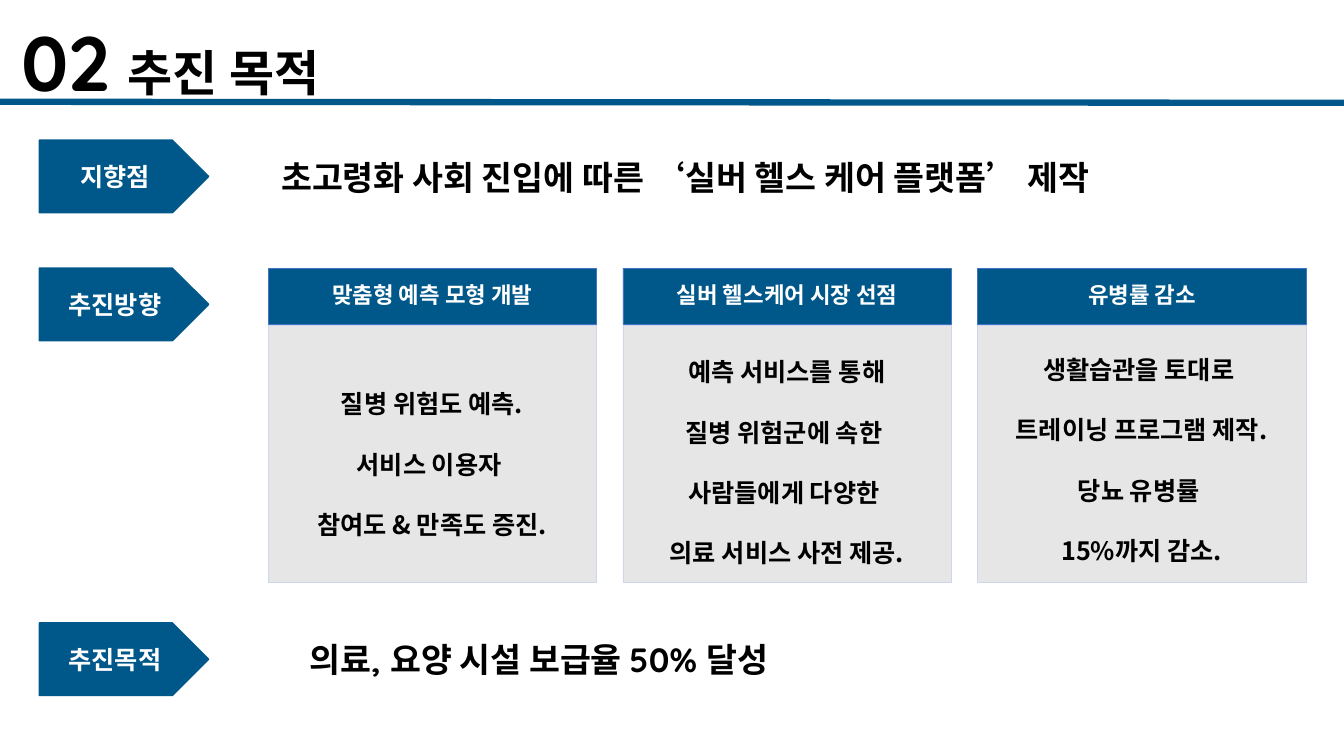
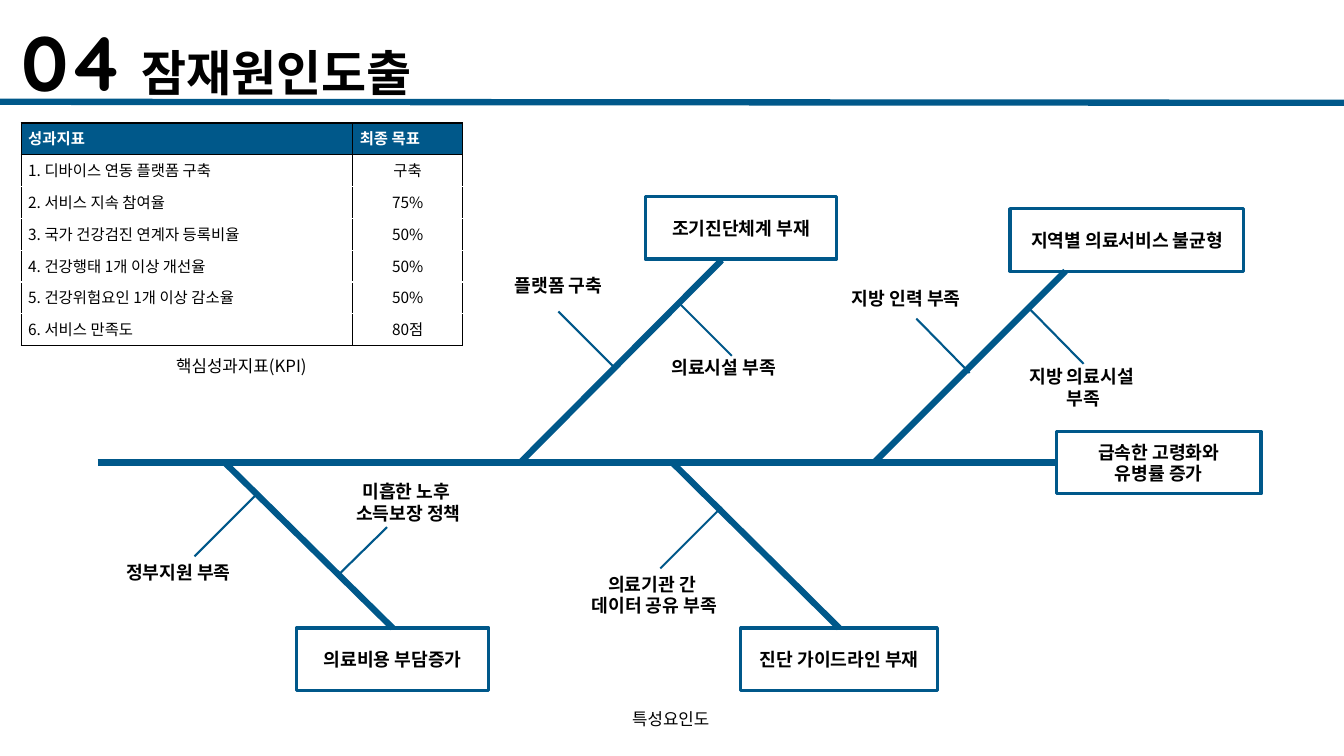
from dataclasses import dataclass
from typing import NamedTuple, Optional

from lxml import etree
from pptx import Presentation
from pptx.dml.color import RGBColor
from pptx.enum.shapes import MSO_CONNECTOR, MSO_SHAPE
from pptx.enum.text import MSO_ANCHOR, PP_ALIGN
from pptx.oxml.ns import qn
from pptx.util import Inches, Pt

RECT, PENTAGON = MSO_SHAPE.RECTANGLE, MSO_SHAPE.PENTAGON
STRAIGHT = MSO_CONNECTOR.STRAIGHT
MIDDLE = MSO_ANCHOR.MIDDLE
LEFT, CENTER = PP_ALIGN.LEFT, PP_ALIGN.CENTER
TOP_SIDE, LEFT_SIDE = 0, 1

COLUMNS, ROWS = 133.33, 75
CELL = 0.1
NAVY, BLACK, WHITE = "00588A", "000000", "FFFFFF"
HEADER_EDGE, PANEL, PANEL_EDGE = "4472C4", "E7E6E6", "CFD5EA"
BODY_FONT, HEADING_FONT = "Noto Sans CJK KR", "Quicksand"
WIDE_INSETS = (1.3, 0.7)
PLAIN_INSETS = (1, 0.5)


class Area(NamedTuple):
    col: float
    row: float
    cols: float
    rows: float


class Point(NamedTuple):
    col: float
    row: float


@dataclass(frozen=True)
class Style:
    size: float
    color: str = BLACK
    bold: bool = True
    font: str = BODY_FONT
    align: PP_ALIGN = CENTER
    spacing: Optional[float] = None
    insets: tuple[float, float] = PLAIN_INSETS


@dataclass(frozen=True)
class Stage:
    name: str
    row: float


@dataclass(frozen=True)
class Direction:
    heading: str
    details: str
    text_row: float


@dataclass(frozen=True)
class Cause:
    text: str
    area: Area
    root: Point
    tip: Optional[Point] = None


@dataclass(frozen=True)
class Factor:
    text: str
    label: Point
    start: Point
    end: Point


STAGE_STYLE = Style(18, WHITE)
STATEMENT = Style(24, font=HEADING_FONT, align=LEFT, insets=WIDE_INSETS)
GOAL = Style(24, font=HEADING_FONT, insets=WIDE_INSETS)
DIRECTION_HEADING = Style(16, WHITE, spacing=0.9, insets=(2, 1.2))
DIRECTION_BODY = Style(18, spacing=2)
FACTOR_STYLE = Style(13)
CAPTION = Style(12, bold=False)

STAGES = [Stage("지향점", 13.9), Stage("추진방향", 26.6), Stage("추진목적", 61.8)]
DIRECTIONS = [
    Direction("맞춤형 예측 모형 개발",
              "질병 위험도 예측.\n서비스 이용자 \n참여도 & 만족도 증진.", 33),
    Direction("실버 헬스케어 시장 선점",
              "예측 서비스를 통해\n질병 위험군에 속한 \n사람들에게 다양한 \n의료 서비스 사전 제공.", 32.8),
    Direction("유병률 감소",
              "생활습관을 토대로 \n트레이닝 프로그램 제작.\n당뇨 유병률 \n15%까지 감소.", 32.6),
]
INDICATORS = [
    ("성과지표", "최종 목표"),
    ("1. 디바이스 연동 플랫폼 구축", "구축"),
    ("2. 서비스 지속 참여율", "75%"),
    ("3. 국가 건강검진 연계자 등록비율", "50%"),
    ("4. 건강행태 1개 이상 개선율", "50%"),
    ("5. 건강위험요인 1개 이상 감소율", "50%"),
    ("6. 서비스 만족도", "80점"),
]
SPINE_ROW = 45.9
BOX_ROWS = 6.2
CAUSES = [
    Cause("조기진단체계 부재", Area(64, 19.5, 19, BOX_ROWS),
          Point(51.6, SPINE_ROW), Point(71.6, 25.8)),
    Cause("지역별 의료서비스 불균형", Area(100.2, 20.7, 23.2, BOX_ROWS),
          Point(86.7, SPINE_ROW), Point(105.7, 26.9)),
    Cause("의료비용 부담증가", Area(29.4, 62.3, 19.1, BOX_ROWS), Point(22.3, SPINE_ROW)),
    Cause("진단 가이드라인 부재", Area(73.5, 62.3, 19.5, BOX_ROWS), Point(66.7, SPINE_ROW)),
]
OUTCOME = Area(104.8, 42.8, 20.3, BOX_ROWS)
FACTORS = [
    Factor("정부지원 부족", Point(9.4, 54.4), Point(25.4, 49.1), Point(19.3, 55.2)),
    Factor("미흡한 노후 \n소득보장 정책", Point(32.2, 47.4), Point(38.4, 52.3), Point(33.5, 57.1)),
    Factor("의료기관 간 \n데이터 공유 부족", Point(56.6, 56.6), Point(71.6, 50.3), Point(65.5, 56.4)),
    Factor("플랫폼 구축", Point(47.1, 25.9), Point(60.8, 36.3), Point(55.4, 30.9)),
    Factor("의료시설 부족", Point(63.5, 34), Point(72.6, 35.3), Point(67.2, 29.9)),
    Factor("지방 인력 부족", Point(81.6, 27.2), Point(96.2, 37), Point(90.9, 31.6)),
    Factor("지방 의료시설 \n부족", Point(99.2, 36), Point(107.5, 36.1), Point(102.2, 30.7)),
]


def grid(cells: float) -> int:
    return Inches(cells * CELL)


def rgb(color: str) -> RGBColor:
    return RGBColor.from_string(color)


def format_run(run, style: Style, size: Optional[float] = None) -> None:
    run.font.size = Pt(size or style.size)
    run.font.bold = style.bold
    run.font.name = style.font
    run.font.color.rgb = rgb(style.color)
    east_asian = etree.Element(qn("a:ea"), typeface=BODY_FONT)
    run.font._element.find(qn("a:latin")).addnext(east_asian)


def fit_frame(frame, insets: tuple[float, float]) -> None:
    frame.word_wrap = True
    frame.vertical_anchor = MIDDLE
    frame.margin_left = frame.margin_right = grid(insets[0])
    frame.margin_top = frame.margin_bottom = grid(insets[1])


def write(frame, text: str, style: Style) -> None:
    frame.text = text
    for paragraph in frame.paragraphs:
        paragraph.alignment = style.align
        if style.spacing:
            paragraph.line_spacing = style.spacing
        for run in paragraph.runs:
            format_run(run, style)


def add_text(slide, area: Area, text: str, style: Style) -> None:
    frame = slide.shapes.add_textbox(*map(grid, area)).text_frame
    fit_frame(frame, style.insets)
    write(frame, text, style)


def add_block(slide, kind, area: Area, fill: Optional[str], edge: str, weight: float,
              text: str = "", style: Style = FACTOR_STYLE):
    block = slide.shapes.add_shape(kind, *map(grid, area))
    block.shadow.inherit = False
    if fill:
        block.fill.solid()
        block.fill.fore_color.rgb = rgb(fill)
    else:
        block.fill.background()
    block.line.color.rgb = rgb(edge)
    block.line.width = Pt(weight)
    if text:
        fit_frame(block.text_frame, style.insets)
        write(block.text_frame, text, style)
    return block


def add_line(slide, start: Point, end: Point, weight: float):
    line = slide.shapes.add_connector(STRAIGHT, *map(grid, (*start, *end)))
    line.line.color.rgb = rgb(NAVY)
    line.line.width = Pt(weight)
    etree.SubElement(line._element.spPr, qn("a:effectLst"))
    return line


def add_titled_slide(deck, number: str, title: str):
    slide = deck.slides.add_slide(deck.slide_layouts[6])
    add_line(slide, Point(0, 10.1), Point(COLUMNS, 10.2), 4.5)
    frame = slide.shapes.add_textbox(*map(grid, Area(0.8, 2, 97.6, 8.1))).text_frame
    fit_frame(frame, WIDE_INSETS)
    for part, size in ((number, 55), (" ", 46.7), (title, 35)):
        run = frame.paragraphs[0].add_run()
        run.text = part
        format_run(run, STATEMENT, size)
    return slide


def add_border(cell, side: str, color: str) -> None:
    border = etree.SubElement(cell._tc.get_or_add_tcPr(), qn(f"a:ln{side}"), w=str(Pt(1)))
    fill = etree.SubElement(border, qn("a:solidFill"))
    etree.SubElement(fill, qn("a:srgbClr"), val=color)


def add_indicators(slide) -> None:
    area = Area(2.1, 12.2, 43.8, 22.1)
    table = slide.shapes.add_table(len(INDICATORS), 2, *map(grid, area)).table
    table.first_row = table.horz_banding = False
    for column, width in zip(table.columns, (32.9, 10.9)):
        column.width = grid(width)
    last = len(INDICATORS) - 1
    for r, values in enumerate(INDICATORS):
        heading = r == 0
        table.rows[r].height = grid(area.rows / len(INDICATORS))
        for c, value in enumerate(values):
            cell = table.cell(r, c)
            cell.margin_left = cell.margin_right = grid(0.7)
            cell.margin_top = cell.margin_bottom = grid(0.4)
            top = BLACK if r <= 1 else WHITE
            bottom = BLACK if r in (0, last) else WHITE
            for side, color in zip("LRTB", (BLACK, BLACK, top, bottom)):
                add_border(cell, side, color)
            cell.fill.solid()
            cell.fill.fore_color.rgb = rgb(NAVY if heading else WHITE)
            align = CENTER if c and not heading else LEFT
            write(cell.text_frame, value,
                  Style(11, WHITE if heading else BLACK, heading, align=align))


def build_purpose(deck) -> None:
    slide = add_titled_slide(deck, "02", "추진 목적")
    for stage in STAGES:
        add_block(slide, PENTAGON, Area(3.9, stage.row, 16.8, 7.2), NAVY, NAVY, 1,
                  stage.name, STAGE_STYLE)
    add_text(slide, Area(26.6, 13.5, 103, 8.1),
             "초고령화 사회 진입에 따른 ‘실버 헬스 케어 플랫폼’ 제작", STATEMENT)
    width, pitch = 32.6, 35.2
    for index, direction in enumerate(DIRECTIONS):
        col = 26.6 + index * pitch
        add_block(slide, RECT, Area(col, 32.3, width, 25.5), PANEL, PANEL_EDGE, 0.5)
        add_block(slide, RECT, Area(col, 26.6, width, 5.6), NAVY, HEADER_EDGE, 0.5,
                  direction.heading, DIRECTION_HEADING)
        add_text(slide, Area(col + 1.1, direction.text_row, 30.3, 23.1),
                 direction.details, DIRECTION_BODY)
    add_text(slide, Area(0, 61.2, 107.7, 8.4), "의료, 요양 시설 보급율 50% 달성 ", GOAL)


def build_fishbone(deck) -> None:
    slide = add_titled_slide(deck, "04", "잠재원인도출")
    add_indicators(slide)
    add_text(slide, Area(4.9, 34.7, 38.1, 3.2), "핵심성과지표(KPI)", CAPTION)
    outcome = add_block(slide, RECT, OUTCOME, None, NAVY, 2.25, "급속한 고령화와\n유병률 증가")
    spine = add_line(slide, Point(9.7, SPINE_ROW), Point(OUTCOME.col, SPINE_ROW), 4.5)
    spine.end_connect(outcome, LEFT_SIDE)
    for cause in CAUSES:
        box = add_block(slide, RECT, cause.area, None, NAVY, 2.25, cause.text)
        bone = add_line(slide, cause.root, cause.tip or Point(cause.area.col, cause.area.row), 4.5)
        if cause.tip is None:
            bone.end_connect(box, TOP_SIDE)
    for factor in FACTORS:
        add_line(slide, factor.start, factor.end, 1.5)
        add_text(slide, Area(*factor.label, 16.6, 4.8), factor.text, FACTOR_STYLE)
    add_text(slide, Area(47.5, 69.7, 38.1, 3.2), "특성요인도", CAPTION)


def main() -> None:
    deck = Presentation()
    deck.slide_width, deck.slide_height = grid(COLUMNS), grid(ROWS)
    build_purpose(deck)
    build_fishbone(deck)
    deck.save("out.pptx")


if __name__ == "__main__":
    main()
